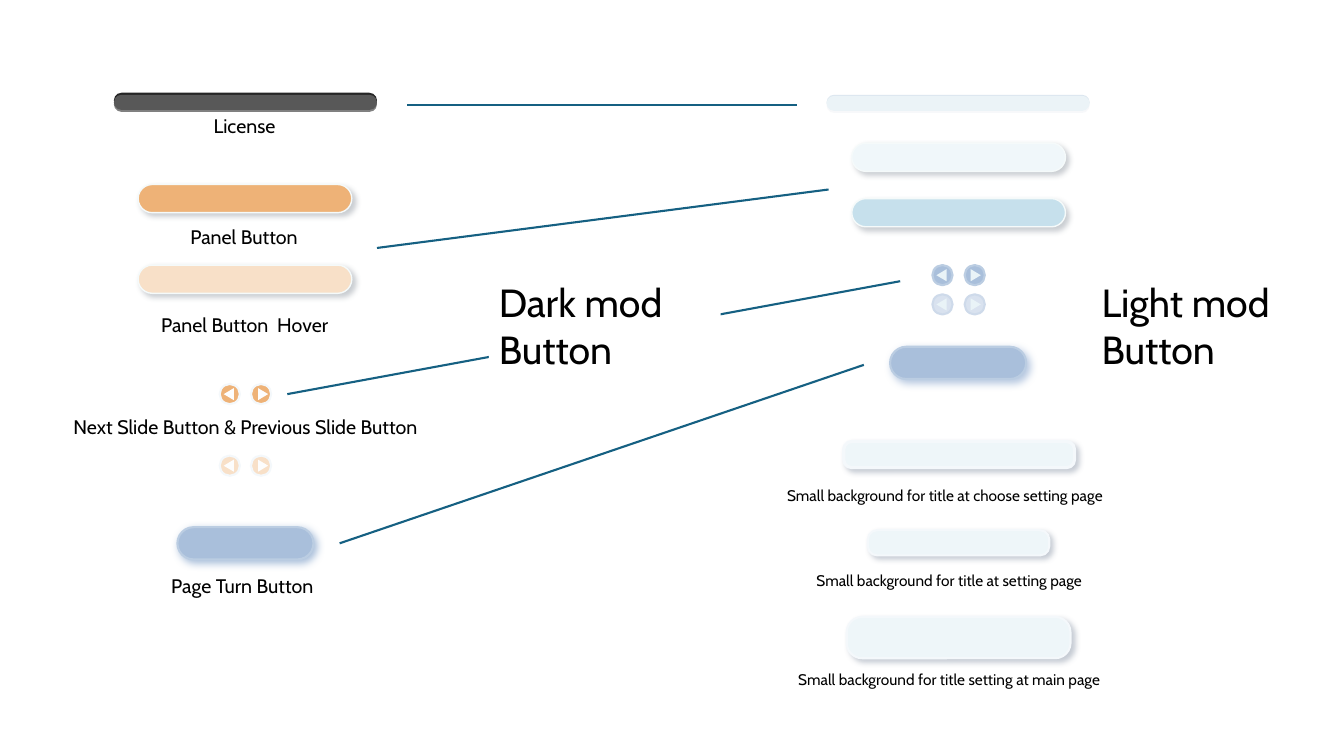
from dataclasses import dataclass

from lxml import etree
from pptx import Presentation
from pptx.dml.color import RGBColor
from pptx.enum.shapes import MSO_CONNECTOR, MSO_SHAPE
from pptx.enum.text import MSO_AUTO_SIZE
from pptx.oxml.ns import qn
from pptx.util import Inches, Length, Pt

ROUNDED, OVAL, TRIANGLE = MSO_SHAPE.ROUNDED_RECTANGLE, MSO_SHAPE.OVAL, MSO_SHAPE.ISOSCELES_TRIANGLE
STRAIGHT = MSO_CONNECTOR.STRAIGHT
GROW = MSO_AUTO_SIZE.SHAPE_TO_FIT_TEXT

# The grid has ten columns and ten rows to the inch
COLUMNS, ROWS, CELLS_PER_INCH = 133.33, 75, 10
FONT = "Cabin"
BLACK, WHITE, LINK_BLUE = "000000", "FFFFFF", "156082"
ORANGE, PEACH, BLUE, PALE_BLUE = "EEB277", "F8E0C8", "A9BFDB", "D9E2EF"
BLUE_EDGE, FROST_EDGE, PANEL_EDGE, TITLE_FILL = "BBCDE2", "F4F8FB", "F5FAFA", "EEF6F9"


@dataclass
class Shadow:
    color: str
    opacity: int
    blur: float


PANEL_SHADOW = Shadow("7C8590", 40, 4)
TITLE_SHADOW = Shadow("717F94", 40, 4)


@dataclass
class Pill:
    column: float
    row: float
    width: float
    height: float
    fill: str
    edge: str = ""
    edge_points: float = 0
    shadow: Shadow | None = None
    rounding: float = 0.5


@dataclass
class ArrowPair:
    column: float
    row: float
    pitch: float
    fill: str
    edge: str
    arrow_fill: str
    next_inset: float


@dataclass
class Link:
    start: tuple[float, float]
    end: tuple[float, float]


@dataclass
class Label:
    column: float
    row: float
    width: float
    height: float
    text: str
    points: float
    fill: str = ""


def panel(column: float, row: float, fill: str) -> Pill:
    return Pill(column, row, 21.2, 2.8, fill, PANEL_EDGE, 1, PANEL_SHADOW)


def page_turn(column: float, row: float, glow: str) -> Pill:
    return Pill(column, row, 13.5, 3.2, BLUE, BLUE_EDGE, 1.5, Shadow(glow, 100, 6))


def license_bar(column: float, rows: tuple[float, ...], fills: tuple[str, ...]) -> list[Pill]:
    return [Pill(column, row, 26.1, 1.5, fill) for row, fill in zip(rows, fills)]


PILLS = [
    # Dark mode
    *license_bar(11.3, (9.6, 9.2, 9.4), ("808080", "262626", "585858")),
    panel(13.7, 18.3, ORANGE),
    panel(13.7, 26.3, PEACH),
    page_turn(17.6, 52.3, BLUE),
    # Light mode
    *license_bar(82, (9.4, 9.7, 9.5), ("DBE6EF", "F7F8FA", "EBF3F7")),
    panel(84.5, 14.2, "F0F7FA"),
    panel(84.5, 19.7, "C6E0EC"),
    page_turn(88.3, 34.4, "B6C8E1"),
    # Title backgrounds
    Pill(83.7, 43.8, 22.9, 2.6, TITLE_FILL, FROST_EDGE, 2.25, TITLE_SHADOW, 0.31),
    Pill(86.1, 52.6, 18, 2.5, TITLE_FILL, FROST_EDGE, 1.5, TITLE_SHADOW, 0.37),
    Pill(84, 61.2, 22.2, 4.1, TITLE_FILL, FROST_EDGE, 1.5, TITLE_SHADOW, 0.37),
]
ARROW_PAIRS = [
    ArrowPair(21.8, 38.1, 3.1, ORANGE, FROST_EDGE, "FDFDFD", 0.6),
    ArrowPair(21.8, 45.2, 3.1, PEACH, FROST_EDGE, "FDFDFD", 0.6),
    ArrowPair(92.5, 26.3, 3.2, BLUE, BLUE_EDGE, "E9F3F7", 0.5),
    ArrowPair(92.5, 29.2, 3.2, PALE_BLUE, "CEDAEA", "E9F3F7", 0.5),
]
LINKS = [
    Link((40.4, 10.4), (79.1, 10.4)),
    Link((37.4, 24.6), (82.2, 18.8)),
    Link((28.5, 39.1), (89.3, 27.9)),
    Link((33.7, 53.9), (85.7, 36.2)),
]
LABELS = [
    Label(48.5, 27.1, 23, 10.4, "Dark mod\nButton", 28, WHITE),
    Label(108.3, 27.1, 23, 10.4, "Light mod\nButton", 28),
    Label(20.2, 10.8, 8.3, 3.4, "License", 14),
    Label(17.9, 21.8, 13, 3.4, "Panel Button", 14),
    Label(15, 30.6, 19.6, 3.4, "Panel Button  Hover", 14),
    Label(6.3, 40.7, 37.9, 3.4, "Next Slide Button & Previous Slide Button", 14),
    Label(16, 56.4, 16.8, 3.4, "Page Turn Button", 14),
    Label(77.1, 47.7, 36, 2.9, "Small background for title at choose setting page", 11),
    Label(80, 56.2, 30.2, 2.9, "Small background for title at setting page", 11),
    Label(78.2, 66, 33.9, 2.9, "Small background for title setting at main page", 11),
]


def cells(count: float) -> Length:
    return Inches(count / CELLS_PER_INCH)


def color(value: str) -> RGBColor:
    return RGBColor.from_string(value)


def add_shadow(shape, shadow: Shadow) -> None:
    effects = shape.element.spPr.find(qn("a:effectLst"))
    outer = etree.SubElement(effects, qn("a:outerShdw"), blurRad=str(Pt(shadow.blur)),
                             dist=str(Pt(3)), dir=str(45 * 60000), algn="tl", rotWithShape="0")
    tint = etree.SubElement(outer, qn("a:srgbClr"), val=shadow.color)
    etree.SubElement(tint, qn("a:alpha"), val=str(shadow.opacity * 1000))


def add_figure(page, kind, column: float, row: float, width: float, height: float,
               fill: str, edge: str = "", edge_points: float = 0):
    shape = page.shapes.add_shape(kind, cells(column), cells(row), cells(width), cells(height))
    shape.shadow.inherit = False
    shape.fill.solid()
    shape.fill.fore_color.rgb = color(fill)
    if edge:
        shape.line.color.rgb = color(edge)
        shape.line.width = Pt(edge_points)
    else:
        shape.line.fill.background()
    return shape


def add_pill(page, pill: Pill) -> None:
    shape = add_figure(page, ROUNDED, pill.column, pill.row, pill.width, pill.height,
                       pill.fill, pill.edge, pill.edge_points)
    shape.adjustments[0] = pill.rounding
    if pill.shadow:
        add_shadow(shape, pill.shadow)


def add_arrow_pair(page, pair: ArrowPair) -> None:
    for index, (inset, angle) in enumerate(((0.3, 270), (pair.next_inset, 90))):
        column = pair.column + index * pair.pitch
        add_figure(page, OVAL, column, pair.row, 2, 2, pair.fill, pair.edge, 1.5)
        arrow = add_figure(page, TRIANGLE, column + inset, pair.row + 0.5, 1.2, 1, pair.arrow_fill)
        arrow.rotation = angle


def add_link(page, link: Link) -> None:
    connector = page.shapes.add_connector(STRAIGHT, *map(cells, link.start + link.end))
    connector.line.color.rgb = color(LINK_BLUE)
    connector.line.width = Pt(1.5)
    etree.SubElement(connector.element.spPr, qn("a:effectLst"))


def add_label(page, label: Label) -> None:
    box = page.shapes.add_textbox(cells(label.column), cells(label.row),
                                  cells(label.width), cells(label.height))
    if label.fill:
        box.fill.solid()
        box.fill.fore_color.rgb = color(label.fill)
    frame = box.text_frame
    frame.word_wrap = True
    frame.auto_size = GROW
    para = frame.paragraphs[0]
    para.text = label.text
    for span in para.runs:
        span.font.name = FONT
        span.font.size = Pt(label.points)
        span.font.color.rgb = color(BLACK)


def main() -> None:
    deck = Presentation()
    deck.slide_width, deck.slide_height = cells(COLUMNS), cells(ROWS)
    page = deck.slides.add_slide(deck.slide_layouts.get_by_name("Blank"))

    # Buttons and backgrounds
    for pill in PILLS:
        add_pill(page, pill)
    for pair in ARROW_PAIRS:
        add_arrow_pair(page, pair)
    # Links between the modes, then the text over them
    for link in LINKS:
        add_link(page, link)
    for label in LABELS:
        add_label(page, label)
    deck.save("out.pptx")


if __name__ == "__main__":
    main()
